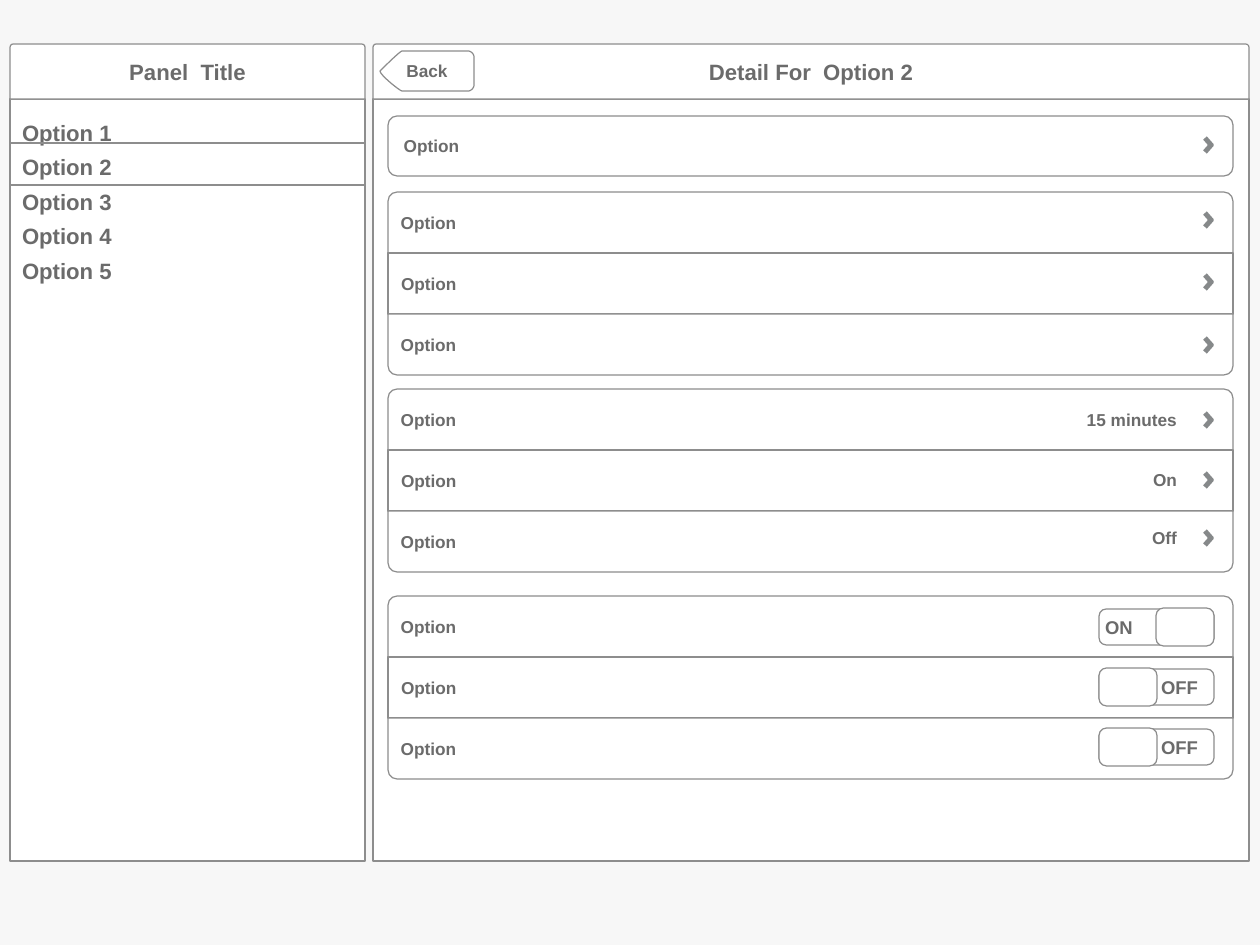
from dataclasses import dataclass

from lxml import etree
from pptx import Presentation
from pptx import util as u
from pptx.dml import color
from pptx.enum import shapes, text
from pptx.oxml import ns

PX = 10320
SHAPE = shapes.MSO_SHAPE
ALIGN = text.PP_ALIGN
ANCHOR = text.MSO_ANCHOR


@dataclass(frozen=True)
class Theme:
    """Colours, font, type sizes and corner ratios."""
    background: str = "F7F7F7"
    surface: str = "FFFFFF"
    outline: str = "8D8D8D"
    chevron: str = "86898A"
    ink: str = "6B6B6B"
    font: str = "Arial"
    heading: int = 18
    switch: int = 15
    label: int = 14
    row_corner: float = 0.15
    header_corner: float = 0.06
    switch_corner: float = 0.2


@dataclass(frozen=True)
class Row:
    """One settings row: an optional value or switch, and its vertical shift."""
    shift: int = 0
    value: str = ""
    switch: str = ""


THEME = Theme()
HEADER_HEIGHT = 55
GROUPS = [
    (116, 60, [Row(-1)]),
    (192, 61, [Row(-2), Row(-1), Row(1)]),
    (389, 61, [Row(1, value="15 minutes"), Row(0, value="On"), Row(-3, value="Off")]),
    (596, 61, [Row(1, switch="ON"), Row(0, switch="OFF"), Row(-1, switch="OFF")]),
]


def rgb(value):
    """Turn a hex string into a colour."""
    return color.RGBColor.from_string(value)


def style(shape, filled=True):
    """Give a shape the wireframe fill and outline."""
    if filled:
        shape.fill.solid()
        shape.fill.fore_color.rgb = rgb(THEME.surface)
    else:
        shape.fill.background()
    shape.line.color.rgb = rgb(THEME.outline)
    shape.line.width = u.Pt(1)


def place(shape, left, top, width, height):
    """Move a shape to a box given in px."""
    shape.left, shape.top = left * PX, top * PX
    shape.width, shape.height = width * PX, height * PX


def add_box(slide, kind, box, corners=(), filled=True):
    """Add an outlined preset shape."""
    shape = slide.shapes.add_shape(kind, *(length * PX for length in box))
    shape.shadow.inherit = False
    style(shape, filled)
    for index, corner in enumerate(corners):
        shape.adjustments[index] = corner
    return shape


def put_text(shape, lines, size=THEME.label, align=ALIGN.LEFT, anchor=ANCHOR.MIDDLE,
             insets=(0, 0, 0, 0), spacing=1.0):
    """Write lines of bold text into a shape."""
    frame = shape.text_frame
    frame.word_wrap = True
    frame.auto_size = text.MSO_AUTO_SIZE.NONE
    frame.vertical_anchor = anchor
    frame.margin_left, frame.margin_top, frame.margin_right, frame.margin_bottom = (
        inset * PX for inset in insets)
    frame.text = "\n".join(lines)
    for paragraph in frame.paragraphs:
        properties = paragraph._p.get_or_add_pPr()
        properties.set("marL", "0")
        properties.set("indent", "0")
        etree.SubElement(properties, ns.qn("a:buNone"))
        paragraph.alignment = align
        paragraph.line_spacing = spacing
        paragraph.space_before = u.Pt(0)
        font = paragraph.runs[0].font
        font.name, font.size, font.bold = THEME.font, u.Pt(size), True
        font.color.rgb = rgb(THEME.ink)


def add_header(slide, left, top, width):
    """Add a panel header with rounded top corners."""
    return add_box(slide, SHAPE.ROUND_2_SAME_RECTANGLE, (left, top, width, HEADER_HEIGHT),
                   (THEME.header_corner, 0))


def curve(start, first, second, end, steps=8):
    """Return points along a cubic curve."""
    points = []
    for step in range(steps + 1):
        t = step / steps
        weights = ((1 - t) ** 3, 3 * t * (1 - t) ** 2, 3 * t * t * (1 - t), t ** 3)
        points.append(tuple(
            sum(weight * point[axis] for weight, point in zip(weights, (start, first, second, end)))
            for axis in (0, 1)))
    return points


def add_back_button(slide, left, top, width, height):
    """Add the pointed Back button."""
    middle, bend, corner = height / 2, 22, 6
    outline = (
        curve((width - corner, 0), (width - 3, 0), (width, 3), (width, corner))
        + curve((width, height - corner), (width, height - 3), (width - 3, height),
                (width - corner, height))
        + curve((bend, height), (bend - 2, height), (0, middle + 4), (0, middle))
        + curve((0, middle), (0, middle), (bend - 2, 0), (bend, 0)))
    points = [((left + x) * PX, (top + y) * PX) for x, y in outline]
    builder = slide.shapes.build_freeform(*points[0], scale=1.0)
    builder.add_line_segments(points[1:], close=True)
    button = builder.convert_to_shape()
    button.shadow.inherit = False
    style(button)
    put_text(button, ["Back"], align=ALIGN.CENTER)


def add_chevron(slide, left, middle):
    """Add a right chevron made of two crossing strokes."""
    for side in (-1, 1):
        stroke = slide.shapes.add_connector(
            shapes.MSO_CONNECTOR.STRAIGHT, left * PX, (middle + side * 7) * PX,
            (left + 7) * PX, (middle - side) * PX)
        stroke.line.color.rgb = rgb(THEME.chevron)
        stroke.line.width = u.Pt(4)
        etree.SubElement(stroke.element.spPr, ns.qn("a:effectLst"))


def add_switch(slide, right, middle, state):
    """Add an ON or OFF switch with its knob."""
    width, height, knob = 115, 36, 58
    left, top = right - width, middle - height // 2
    is_on = state == "ON"
    track = add_box(slide, SHAPE.ROUNDED_RECTANGLE, (left, top, width, height),
                    (THEME.switch_corner,))
    put_text(track, [state], size=THEME.switch, align=ALIGN.LEFT if is_on else ALIGN.RIGHT,
             insets=(4, 0, 14, 0))
    add_box(slide, SHAPE.ROUNDED_RECTANGLE,
            (right - knob if is_on else left, top - 1, knob, height + 2), (THEME.switch_corner,))


def add_group(slide, left, top, width, height, rows):
    """Add a stack of settings rows with rounded outer corners."""
    last = len(rows) - 1
    for index, row in enumerate(rows):
        row_top = top + index * height
        middle = row_top + height // 2 + row.shift
        if last == 0:
            kind, corners, insets = SHAPE.ROUNDED_RECTANGLE, (THEME.row_corner,), (13, 0, 0, 0)
        elif index == 0:
            kind, corners, insets = (
                SHAPE.ROUND_2_SAME_RECTANGLE, (THEME.row_corner, 0), (10, 0, 0, 3))
        elif index == last:
            kind, corners, insets = (
                SHAPE.ROUND_2_SAME_RECTANGLE, (0, THEME.row_corner), (10, 3, 0, 0))
        else:
            kind, corners, insets = SHAPE.RECTANGLE, (), (13, 0, 0, 0)
        cell = add_box(slide, kind, (left, row_top, width, height), corners)
        put_text(cell, ["Option"], insets=insets)
        if row.switch:
            add_switch(slide, left + width - 19, middle, row.switch)
            continue
        if row.value:
            value = slide.shapes.add_textbox(0, 0, 0, 0)
            place(value, left + width - 198, middle - 18, 142, 36)
            put_text(value, [row.value], align=ALIGN.RIGHT)
        add_chevron(slide, left + width - 28, middle)


def add_list_panel(slide, left, top, width, height):
    """Build the option list panel."""
    options = slide.placeholders[1]
    place(options, left, top + HEADER_HEIGHT, width, height - HEADER_HEIGHT)
    style(options)
    put_text(options, [f"Option {number}" for number in range(1, 6)], size=THEME.heading,
             anchor=ANCHOR.TOP, insets=(12, 12, 12, 12), spacing=1.3)
    header = add_header(slide, left, top, width)
    put_text(header, ["Panel  Title"], size=THEME.heading, align=ALIGN.CENTER)
    add_box(slide, SHAPE.RECTANGLE, (left, top + 99, width, 42), filled=False)


def add_detail_panel(slide, left, top, width, height):
    """Build the detail panel with its settings groups."""
    add_box(slide, SHAPE.RECTANGLE, (left, top + HEADER_HEIGHT, width, height - HEADER_HEIGHT))
    add_header(slide, left, top, width)
    title = slide.shapes.title
    title.element.getparent().append(title.element)
    place(title, left, top, width, HEADER_HEIGHT)
    put_text(title, ["Detail For  Option 2"], size=THEME.heading, align=ALIGN.CENTER)
    add_back_button(slide, left + 7, top + 7, 94, 40)
    for group_top, row_height, rows in GROUPS:
        add_group(slide, left + 15, group_top, 845, row_height, rows)


def main():
    """Build and save the presentation."""
    presentation = Presentation()
    presentation.slide_width, presentation.slide_height = 1260 * PX, 945 * PX
    slide = presentation.slides.add_slide(presentation.slide_layouts[1])
    slide.background.fill.solid()
    slide.background.fill.fore_color.rgb = rgb(THEME.background)
    add_list_panel(slide, 10, 44, 355, 817)
    add_detail_panel(slide, 373, 44, 876, 817)
    presentation.save("out.pptx")


if __name__ == "__main__":
    main()
